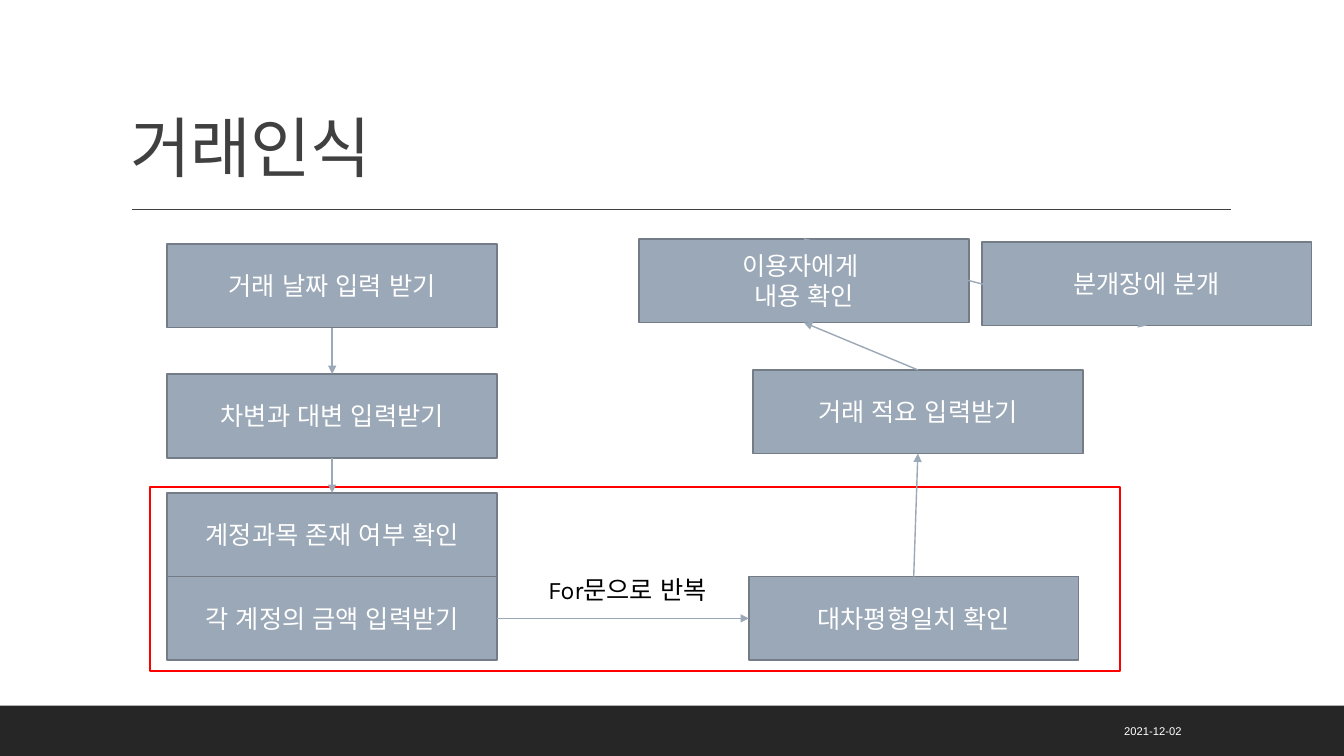
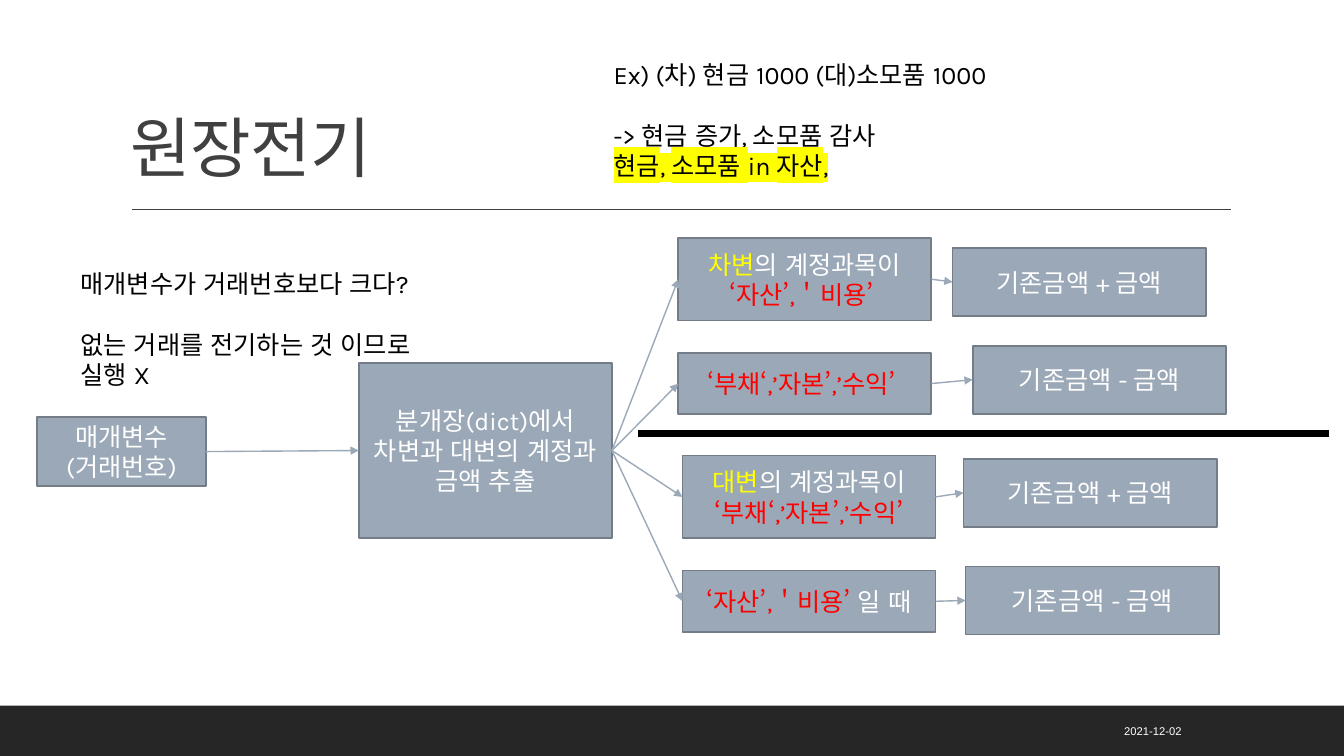
from dataclasses import dataclass

from lxml import etree
from pptx import Presentation
from pptx.dml.color import RGBColor
from pptx.enum.lang import MSO_LANGUAGE_ID
from pptx.enum.shapes import MSO_CONNECTOR, MSO_SHAPE
from pptx.enum.text import MSO_ANCHOR, PP_ALIGN
from pptx.oxml.ns import qn
from pptx.util import Emu, Inches, Pt

RECTANGLE = MSO_SHAPE.RECTANGLE
STRAIGHT = MSO_CONNECTOR.STRAIGHT
TOP, MIDDLE, BOTTOM = MSO_ANCHOR.TOP, MSO_ANCHOR.MIDDLE, MSO_ANCHOR.BOTTOM
LEFT, CENTER, RIGHT = PP_ALIGN.LEFT, PP_ALIGN.CENTER, PP_ALIGN.RIGHT
KOREAN = MSO_LANGUAGE_ID.KOREAN
TOP_SITE, LEFT_SITE, BOTTOM_SITE, RIGHT_SITE = range(4)

SLIDE_WIDTH, SLIDE_HEIGHT = Inches(13.33), Inches(7.5)
# The grid has 100 columns and 100 rows.
COLUMN, ROW = SLIDE_WIDTH / 100, SLIDE_HEIGHT / 100

WHITE, BLACK, RED, YELLOW = "FFFFFF", "000000", "FF0000", "FFFF00"
BOX_FILL, BOX_EDGE = "9BA8B7", "737C87"
BAND, INK = "262626", "404040"
TITLE_FONT, BODY_FONT = "Arial", "Karla"
DATE = "2021-12-02"
BLANK_LINE = 22


@dataclass(frozen=True)
class Area:
    """A rectangle in grid columns and rows."""
    left: float
    top: float
    width: float
    height: float


@dataclass(frozen=True)
class TextRun:
    text: str
    color: str = WHITE
    highlight: str = ""


@dataclass(frozen=True)
class TextStyle:
    font: str = BODY_FONT
    size: float = 18
    align: PP_ALIGN = LEFT
    anchor: MSO_ANCHOR = TOP
    line_spacing: float = 1.0
    tracking: int = 0


@dataclass(frozen=True)
class Line:
    """One paragraph with the space before it in points."""
    runs: tuple[TextRun, ...]
    space_before: float = 0


@dataclass(frozen=True)
class Box:
    name: str
    area: Area
    runs: tuple[TextRun, ...]


@dataclass(frozen=True)
class Link:
    start: str
    start_site: int
    end: str
    end_site: int


BOX_STYLE = TextStyle(align=CENTER, anchor=MIDDLE)
NOTE_STYLE = TextStyle()
TITLE_STYLE = TextStyle(TITLE_FONT, 47, anchor=BOTTOM, line_spacing=0.9, tracking=-50)
DATE_STYLE = TextStyle(TITLE_FONT, 8, RIGHT, MIDDLE)


def rgb(color: str) -> RGBColor:
    return RGBColor.from_string(color)


def across(columns: float) -> Emu:
    return Emu(round(columns * COLUMN))


def down(rows: float) -> Emu:
    return Emu(round(rows * ROW))


def place(area: Area) -> tuple[Emu, Emu, Emu, Emu]:
    return across(area.left), down(area.top), across(area.width), down(area.height)


def plain(text: str, color: str = WHITE) -> tuple[TextRun, ...]:
    return (TextRun(text, color),)


def add_run(paragraph, text: str, source: TextRun, style: TextStyle) -> None:
    run = paragraph.add_run()
    run.text = text
    font = run.font
    font.name, font.size, font.language_id = style.font, Pt(style.size), KOREAN
    font.color.rgb = rgb(source.color)
    properties = run._r.get_or_add_rPr()
    if style.tracking:
        properties.set("spc", str(style.tracking))
    if source.highlight:
        highlight = etree.Element(qn("a:highlight"))
        etree.SubElement(highlight, qn("a:srgbClr")).set("val", source.highlight)
        properties.find(qn("a:solidFill")).addnext(highlight)


def write(shape, lines: tuple[Line, ...], style: TextStyle) -> None:
    frame = shape.text_frame
    frame.word_wrap = True
    frame.vertical_anchor = style.anchor
    for index, line in enumerate(lines):
        paragraph = frame.add_paragraph() if index else frame.paragraphs[0]
        paragraph.alignment = style.align
        paragraph.line_spacing = style.line_spacing
        paragraph.space_before = Pt(line.space_before)
        for source in line.runs:
            for part_index, part in enumerate(source.text.split("\n")):
                if part_index:
                    paragraph.add_line_break()
                add_run(paragraph, part, source, style)


def add_text(slide, area: Area, lines: tuple[Line, ...], style: TextStyle) -> None:
    write(slide.shapes.add_textbox(*place(area)), lines, style)


def add_rectangle(slide, area: Area, fill: str = "", edge: str = ""):
    shape = slide.shapes.add_shape(RECTANGLE, *place(area))
    shape.shadow.inherit = False
    if fill:
        shape.fill.solid()
        shape.fill.fore_color.rgb = rgb(fill)
    else:
        shape.fill.background()
    if edge:
        shape.line.color.rgb = rgb(edge)
        shape.line.width = Pt(1.25)
    else:
        shape.line.fill.background()
    return shape


def add_line(slide, left: float, right: float, row: float, color: str, weight: float):
    connector = slide.shapes.add_connector(
        STRAIGHT, across(left), down(row), across(right), down(row))
    connector.line.color.rgb = rgb(color)
    connector.line.width = Pt(weight)
    etree.SubElement(connector._element.spPr, qn("a:effectLst"))
    return connector


def add_flow(slide, boxes: tuple[Box, ...], links: tuple[Link, ...]) -> None:
    """Draw the boxes, then the arrows glued to their sides."""
    shapes = {}
    for box in boxes:
        shape = add_rectangle(slide, box.area, BOX_FILL, BOX_EDGE)
        write(shape, (Line(box.runs),), BOX_STYLE)
        shapes[box.name] = shape
    for link in links:
        arrow = add_line(slide, 0, 0, 0, BOX_FILL, 1)
        arrow.begin_connect(shapes[link.start], link.start_site)
        arrow.end_connect(shapes[link.end], link.end_site)
        etree.SubElement(arrow.line._get_or_add_ln(), qn("a:tailEnd")).set("type", "triangle")


def add_titled_slide(presentation, title: str):
    slide = presentation.slides.add_slide(presentation.slide_layouts[6])
    add_rectangle(slide, Area(0, 93.33, 100, 6.67), BAND)
    add_line(slide, 9.83, 91.57, 27.73, INK, 1)
    add_text(slide, Area(9, 4.13, 82.5, 21.2), (Line(plain(title, INK)),), TITLE_STYLE)
    add_text(slide, Area(67.43, 94, 21.23, 5.33), (Line(plain(DATE)),), DATE_STYLE)
    return slide


def build_transaction_slide(presentation) -> None:
    slide = add_titled_slide(presentation, "거래인식")
    steps = (
        ("date", 12.45, 32.27, "거래 날짜 입력 받기"),
        ("sides", 12.45, 49.47, "차변과 대변 입력받기"),
        ("account", 12.45, 65.2, "계정과목 존재 여부 확인"),
        ("amount", 12.45, 76.27, "각 계정의 금액 입력받기"),
        ("balance", 55.72, 76.27, "대차평형일치 확인"),
        ("summary", 56.03, 48.93, "거래 적요 입력받기"),
        ("confirm", 47.55, 31.6, "이용자에게 \n내용 확인"),
        ("journal", 73.05, 32, "분개장에 분개"),
    )
    boxes = tuple(Box(name, Area(left, top, 24.53, 11.07), plain(text))
                  for name, left, top, text in steps)
    links = (
        Link("date", BOTTOM_SITE, "sides", TOP_SITE),
        Link("sides", BOTTOM_SITE, "account", TOP_SITE),
        Link("amount", RIGHT_SITE, "balance", LEFT_SITE),
        Link("balance", TOP_SITE, "summary", BOTTOM_SITE),
        Link("summary", TOP_SITE, "confirm", BOTTOM_SITE),
        Link("confirm", TOP_SITE, "journal", BOTTOM_SITE),
    )
    add_rectangle(slide, Area(11.18, 64.4, 72.15, 24.4), edge=RED)
    add_flow(slide, boxes, links)
    add_text(slide, Area(40.05, 75.33, 14.33, 5.33),
             (Line(plain("For문으로 반복", BLACK)),), NOTE_STYLE)


def build_ledger_slide(presentation) -> None:
    slide = add_titled_slide(presentation, "원장전기")
    width = 18.83
    accounts = TextRun("의 계정과목이 ")
    conditions = (
        Box("debit up", Area(50.47, 31.47, width, 10.93),
            (TextRun("차변", YELLOW), accounts, TextRun("‘자산’,＇비용’ ", RED))),
        Box("debit down", Area(50.47, 46.67, width, 8.13),
            plain("‘부채‘,’자본’,’수익’ ", RED)),
        Box("credit up", Area(50.78, 60.27, width, 10.93),
            (TextRun("대변", YELLOW), accounts, TextRun("‘부채‘,’자본’,’수익’", RED))),
        Box("credit down", Area(50.78, 75.47, width, 8.13),
            (TextRun("‘자산’,＇비용’ ", RED), TextRun("일 때"))),
    )
    places = ((70.88, 32.8, "+"), (72.38, 45.73, "-"), (71.7, 60.67, "+"), (71.85, 74.93, "-"))
    results = tuple(
        Box(f"{condition.name} result", Area(left, top, width, 9), plain(f"기존금액 {sign} 금액"))
        for condition, (left, top, sign) in zip(conditions, places))
    sources = (
        Box("parameter", Area(2.78, 55.2, 12.53, 9.07), plain("매개변수\n(거래번호)")),
        Box("extract", Area(26.7, 48, width, 23.2),
            plain("분개장(dict)에서 차변과 대변의 계정과 금액 추출")),
    )
    links = [Link("parameter", RIGHT_SITE, "extract", LEFT_SITE)]
    for condition, result in zip(conditions, results):
        links.append(Link("extract", RIGHT_SITE, condition.name, LEFT_SITE))
        links.append(Link(condition.name, RIGHT_SITE, result.name, LEFT_SITE))
    add_flow(slide, sources + conditions + results, tuple(links))

    add_text(slide, Area(5.25, 34.8, 27.3, 17.47), (
        Line(plain("매개변수가 거래번호보다 크다?", BLACK)),
        Line(plain("없는 거래를 전기하는 것 이므로 실행 X", BLACK), BLANK_LINE),
    ), NOTE_STYLE)
    add_text(slide, Area(44.93, 7.2, 34.72, 17.47), (
        Line(plain("Ex) (차) 현금 1000 (대)소모품 1000", BLACK)),
        Line(plain("-> 현금 증가, 소모품 감사", BLACK), BLANK_LINE),
        Line((TextRun("현금, 소모품 in 자산,", BLACK, YELLOW),)),
    ), NOTE_STYLE)
    add_line(slide, 47.48, 98.85, 57.33, BLACK, 4.5)


def main() -> None:
    presentation = Presentation()
    presentation.slide_width, presentation.slide_height = SLIDE_WIDTH, SLIDE_HEIGHT
    build_transaction_slide(presentation)
    build_ledger_slide(presentation)
    presentation.save("out.pptx")


if __name__ == "__main__":
    main()
